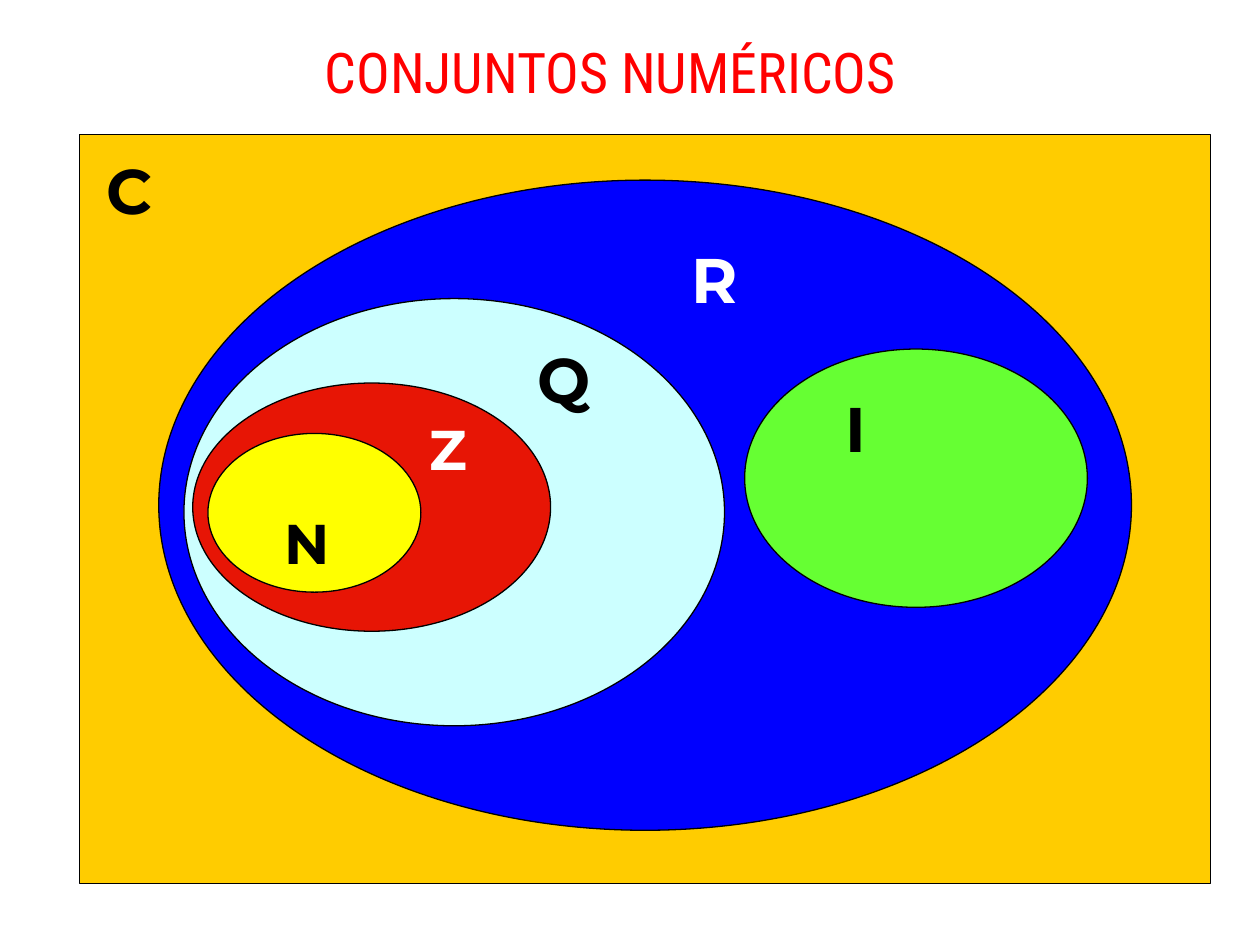
from pptx import Presentation
from pptx.dml.color import RGBColor
from pptx.enum.shapes import MSO_SHAPE as SHAPE
from pptx.enum.text import MSO_ANCHOR as ANCHOR, PP_ALIGN as ALIGN
from pptx.util import Inches, Pt

BLACK = RGBColor(0x00, 0x00, 0x00)
WHITE = RGBColor(0xFF, 0xFF, 0xFF)
PURE_RED = RGBColor(0xFF, 0x00, 0x00)
GOLD = RGBColor(0xFF, 0xCC, 0x00)
BLUE = RGBColor(0x00, 0x00, 0xFF)
GREEN = RGBColor(0x66, 0xFF, 0x33)
PALE_CYAN = RGBColor(0xCC, 0xFF, 0xFF)
RED = RGBColor(0xE7, 0x15, 0x05)
YELLOW = RGBColor(0xFF, 0xFF, 0x00)

TITLE = ("CONJUNTOS NUMÉRICOS", (1.3, 0.25, 7.09, 0.55))
SETS = [
    (SHAPE.RECTANGLE, (0.63, 1.07, 8.98, 5.94), GOLD),
    (SHAPE.OVAL, (1.26, 1.43, 7.72, 5.16), BLUE),
    (SHAPE.OVAL, (5.91, 2.77, 2.72, 2.05), GREEN),
    (SHAPE.OVAL, (1.46, 2.37, 4.29, 3.39), PALE_CYAN),
    (SHAPE.OVAL, (1.53, 3.04, 2.84, 1.97), RED),
    (SHAPE.OVAL, (1.65, 3.44, 1.69, 1.26), YELLOW),
]
LABELS = [
    ("N", (2.16, 3.99, 0.55, 0.64), 32, BLACK),
    ("Z", (3.31, 3.24, 0.55, 0.64), 32, WHITE),
    ("Q", (4.17, 2.65, 0.55, 0.7), 36, BLACK),
    ("I", (6.61, 3.04, 0.55, 0.7), 36, BLACK),
    ("R", (5.39, 1.86, 0.55, 0.7), 36, WHITE),
    ("C", (0.75, 1.15, 0.67, 0.7), 36, BLACK),
]


def add_set(s, kind, box, color):
    sp = s.shapes.add_shape(kind, *map(Inches, box))
    sp.shadow.inherit = False
    sp.fill.solid()
    sp.fill.fore_color.rgb = color
    sp.line.color.rgb = BLACK
    sp.line.width = Pt(0.75)


def add_text(s, text, box, color, wrap=True, align=ALIGN.LEFT, **font):
    tf = s.shapes.add_textbox(*map(Inches, box)).text_frame
    tf.word_wrap = wrap
    tf.vertical_anchor = ANCHOR.TOP
    p = tf.paragraphs[0]
    p.alignment = align
    r = p.add_run()
    r.text = text
    r.font.color.rgb = color
    for name, value in font.items():
        setattr(r.font, name, value)


def main():
    prs = Presentation()
    prs.slide_width, prs.slide_height = Inches(10), Inches(7.5)
    s = prs.slides.add_slide(prs.slide_layouts[6])
    for kind, box, color in SETS:
        add_set(s, kind, box, color)
    add_text(s, *TITLE, PURE_RED, wrap=False, align=ALIGN.CENTER,
             name="Roboto Condensed", size=Pt(32))
    for text, box, size, color in LABELS:
        add_text(s, text, box, color, name="Montserrat", size=Pt(size), bold=True)
    prs.save("out.pptx")


if __name__ == "__main__":
    main()
